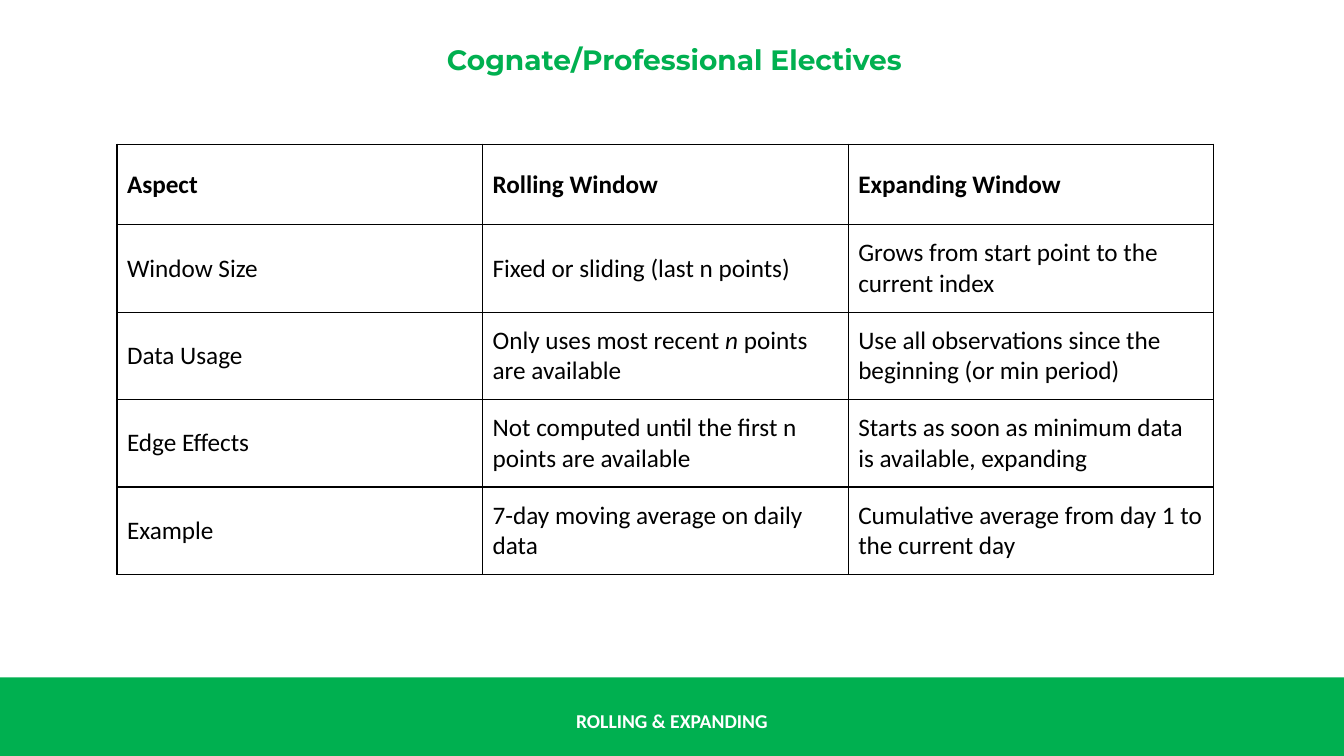
from lxml import etree
from pptx import Presentation
from pptx import util as u
from pptx.dml.color import RGBColor
from pptx.enum import shapes, text
from pptx.oxml.ns import qn

WIDTH, HEIGHT = 13.33, 7.5
GREEN, WHITE, BLACK = "00B050", "FFFFFF", "000000"
ROWS = [
    ["Aspect", "Rolling Window", "Expanding Window"],
    ["Window Size", "Fixed or sliding (last n points)",
     "Grows from start point to the current index"],
    ["Data Usage", ["Only uses most recent ", "n ", "points are available"],
     "Use all observations since the beginning (or min period)"],
    ["Edge Effects", "Not computed until the first n points are available",
     "Starts as soon as minimum data is available, expanding"],
    ["Example", "7-day moving average on daily data",
     "Cumulative average from day 1 to the current day"],
]


def color(value):
    return RGBColor.from_string(value)


def inches(box):
    return [u.Inches(length) for length in box]


def style(para, name, size, tint, bold):
    para.font.name = name
    para.font.size = u.Pt(size)
    para.font.color.rgb = color(tint)
    para.font.bold = bold


def add_label(page, box, words, name, size, tint):
    frame = page.shapes.add_textbox(*inches(box)).text_frame
    frame.word_wrap = True
    frame.vertical_anchor = text.MSO_ANCHOR.MIDDLE
    frame.margin_top = frame.margin_bottom = 0
    para = frame.paragraphs[0]
    para.text = words
    para.alignment = text.PP_ALIGN.CENTER
    style(para, name, size, tint, True)


def add_footer(page, box, words):
    left, top, width, height = box
    band = page.shapes.add_shape(shapes.MSO_SHAPE.RECTANGLE, *inches(box))
    band.shadow.inherit = False
    band.fill.solid()
    band.fill.fore_color.rgb = color(GREEN)
    band.line.fill.background()
    label_box = (left, top + 0.3 * height, width, 0.51 * height)
    add_label(page, label_box, words, "Calibri", 14, WHITE)


def add_borders(cell):
    properties = cell._tc.get_or_add_tcPr()
    for position, side in enumerate(("a:lnL", "a:lnR", "a:lnT", "a:lnB")):
        line = etree.Element(qn(side), w=str(u.Pt(1)))
        fill = etree.SubElement(line, qn("a:solidFill"))
        etree.SubElement(fill, qn("a:srgbClr"), val=BLACK)
        properties.insert(position, line)


def fill_cell(cell, content, bold):
    cell.fill.background()
    cell.vertical_anchor = text.MSO_ANCHOR.MIDDLE
    para = cell.text_frame.paragraphs[0]
    style(para, "Calibri", 18, BLACK, bold)
    parts = [content] if isinstance(content, str) else content
    for index, part in enumerate(parts):
        span = para.add_run()
        span.text = part
        if index % 2:
            span.font.italic = True
    add_borders(cell)


def add_comparison(page, box, rows, header_height):
    frame = page.shapes.add_table(len(rows), len(rows[0]), *inches(box))
    table = frame.table
    table.first_row = table.horz_banding = False
    body_height = (box[3] - header_height) / (len(rows) - 1)
    for row_index, row in enumerate(rows):
        height = body_height if row_index else header_height
        table.rows[row_index].height = u.Inches(height)
        for column_index, content in enumerate(row):
            fill_cell(table.cell(row_index, column_index), content, row_index == 0)


def main():
    deck = Presentation()
    deck.slide_width, deck.slide_height = inches((WIDTH, HEIGHT))
    page = deck.slides.add_slide(deck.slide_layouts[6])
    add_footer(page, (0, 6.72, WIDTH, HEIGHT - 6.72), "ROLLING & EXPANDING")
    add_label(page, (0.28, 0.42, 12.82, 0.34), "Cognate/Professional Electives",
              "Montserrat", 20, GREEN)
    add_comparison(page, (1.16, 1.43, 10.88, 4.27), ROWS, 0.8)
    deck.save("out.pptx")


if __name__ == "__main__":
    main()
